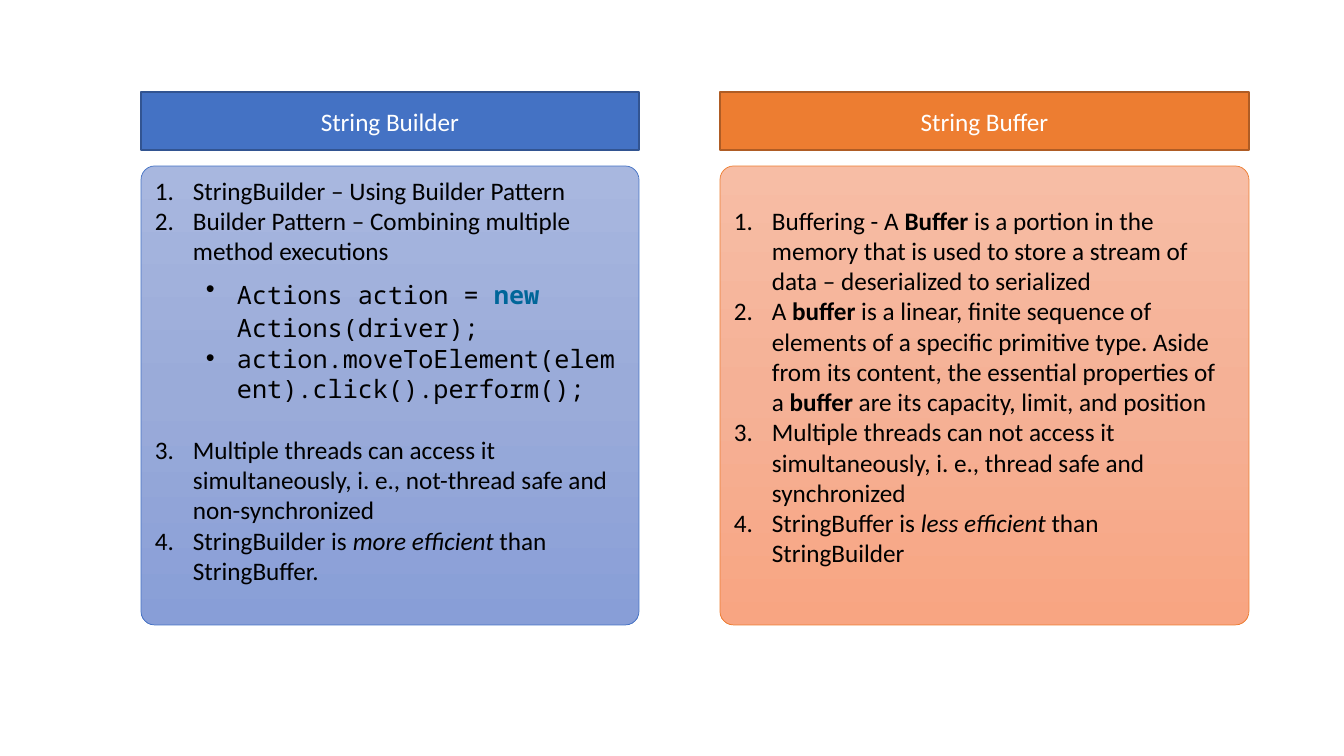
from copy import deepcopy
from pptx import Presentation
from pptx.dml.color import RGBColor
from pptx.enum.shapes import MSO_SHAPE
from pptx.enum.text import MSO_ANCHOR, PP_ALIGN
from pptx.oxml.ns import qn
from pptx.oxml.xmlchemy import OxmlElement
from pptx.util import Pt

SCALE = 914400 / 100.8
COLORS = {
    "white": "FFFFFF", "black": "000000", "key": "006699",
    "blue": "4472C4", "navy": "325491",
    "orange": "ED7D31", "rust": "AF5C24",
}
FADES = {
    "blue": ["A8B7DF", "9AABD9", "889ED7"],
    "orange": ["F7BDA5", "F5B196", "F8A582"],
}
SANS, MONO = "Calibri", "Noto Sans Mono"
NUM, DOT = "num", "dot"
INDENT = {NUM: (38, 38), DOT: (82, 31)}

# Each item: mark, runs of (text, style), space before in points
BUILDER = [
    (NUM, [("StringBuilder – Using Builder Pattern", "")], 0),
    (NUM, [("Builder Pattern – Combining multiple method executions", "")], 0),
    (DOT, [("Actions action = ", ""), ("new", "key"), (" ", "big"),
           ("Actions(driver);", "")], 0),
    (DOT, [("action.moveToElement(element).click().perform();", "")], 0),
    (NUM, [("Multiple threads can access it simultaneously, i. e., "
            "not-thread safe and non-synchronized", "")], 22),
    (NUM, [("StringBuilder is\u00a0", ""), ("more efficient", "italic"),
           ("\u00a0than StringBuffer.", "")], 0),
]
BUFFER = [
    (NUM, [("Buffering - A\u00a0", ""), ("Buffer", "bold"),
           ("\u00a0is a portion in the memory that is used to store a stream "
            "of data – deserialized to serialized ", "")], 0),
    (NUM, [("A\u00a0", ""), ("buffer", "bold"),
           ("\u00a0is a linear, finite sequence of elements of a specific "
            "primitive type. Aside from its content, the essential "
            "properties of a\u00a0", ""), ("buffer", "bold"),
           ("\u00a0are its capacity, limit, and position", "")], 0),
    (NUM, [("Multiple threads can not access it simultaneously, i. e., "
            "thread safe and synchronized", "")], 0),
    (NUM, [("StringBuffer is\u00a0", ""), ("less efficient", "italic"),
           ("\u00a0than StringBuilder", "")], 0),
]


def px(n):
    """Turn pixels into EMU."""
    return round(n * SCALE)


def rgb(name):
    """Look up a colour by name."""
    return RGBColor.from_string(COLORS[name])


def add_box(slide, kind, box, line, width):
    """Add an outlined shape that wraps its text."""
    shape = slide.shapes.add_shape(kind, *map(px, box))
    shape.shadow.inherit = False
    shape.line.color.rgb = rgb(line)
    shape.line.width = Pt(width)
    shape.text_frame.word_wrap = True
    return shape


def set_font(font, name, color):
    """Set the face, colour and common size."""
    font.name, font.size = name, Pt(18)
    font.color.rgb = rgb(color)


def add_fade(shape, stops):
    """Fill a shape with a vertical three-stop gradient."""
    fill = shape.fill
    fill.gradient()
    fill.gradient_angle = 270
    first = next(shape._element.spPr.iter(qn("a:gs")))
    first.addnext(deepcopy(first))
    for i, (stop, tone) in enumerate(zip(fill.gradient_stops, stops)):
        stop.position = i / 2
        stop.color.rgb = RGBColor.from_string(tone)


def add_mark(para, mark):
    """Give a paragraph its number or bullet with a hanging indent."""
    left, hang = INDENT[mark]
    props = para._p.get_or_add_pPr()
    props.set("marL", str(px(left)))
    props.set("indent", str(-px(hang)))
    if mark == NUM:
        sign = OxmlElement("a:buAutoNum")
        sign.set("type", "arabicPeriod")
    else:
        face = OxmlElement("a:buFont")
        face.set("typeface", "Arial")
        sign = OxmlElement("a:buChar")
        sign.set("char", "•")
        props.insert_element_before(face, "a:defRPr")
    props.insert_element_before(sign, "a:defRPr")


def add_item(para, mark, runs, space):
    """Write one list item."""
    para.level = 1 if mark == DOT else 0
    para.alignment = PP_ALIGN.LEFT
    para.space_before = Pt(space)
    set_font(para.font, MONO if mark == DOT else SANS, "black")
    add_mark(para, mark)
    for text, style in runs:
        run = para.add_run()
        run.text = text
        if style in ("bold", "key"):
            run.font.bold = True
        if style == "key":
            run.font.color.rgb = rgb("key")
        if style == "italic":
            run.font.italic = True
        if style == "big":
            run.font.size = Pt(28)


def add_panel(slide, box, title, items, tone, edge, top):
    """Draw a heading bar and the list card below it."""
    x, y, w, h = box
    bar = add_box(slide, MSO_SHAPE.RECTANGLE, (x, y, w, 58), edge, 1)
    bar.fill.solid()
    bar.fill.fore_color.rgb = rgb(tone)
    bar.text_frame.vertical_anchor = MSO_ANCHOR.MIDDLE
    head = bar.text_frame.paragraphs[0]
    head.text, head.alignment = title, PP_ALIGN.CENTER
    set_font(head.font, SANS, "white")

    card = add_box(slide, MSO_SHAPE.ROUNDED_RECTANGLE,
                   (x, y + 74, w, h - 74), tone, 0.5)
    card.adjustments[0] = 0.03
    add_fade(card, FADES[tone])
    frame = card.text_frame
    frame.vertical_anchor = MSO_ANCHOR.TOP
    frame.margin_top = px(top)
    for i, item in enumerate(items):
        para = frame.add_paragraph() if i else frame.paragraphs[0]
        add_item(para, *item)


def main():
    """Build and save the slide."""
    deck = Presentation()
    deck.slide_width, deck.slide_height = px(1344), px(756)
    slide = deck.slides.add_slide(deck.slide_layouts[6])
    add_panel(slide, (141, 92, 498, 533), "String Builder", BUILDER,
              "blue", "navy", 5)
    add_panel(slide, (720, 92, 529, 533), "String Buffer", BUFFER,
              "orange", "rust", 35)
    deck.save("out.pptx")


main()
